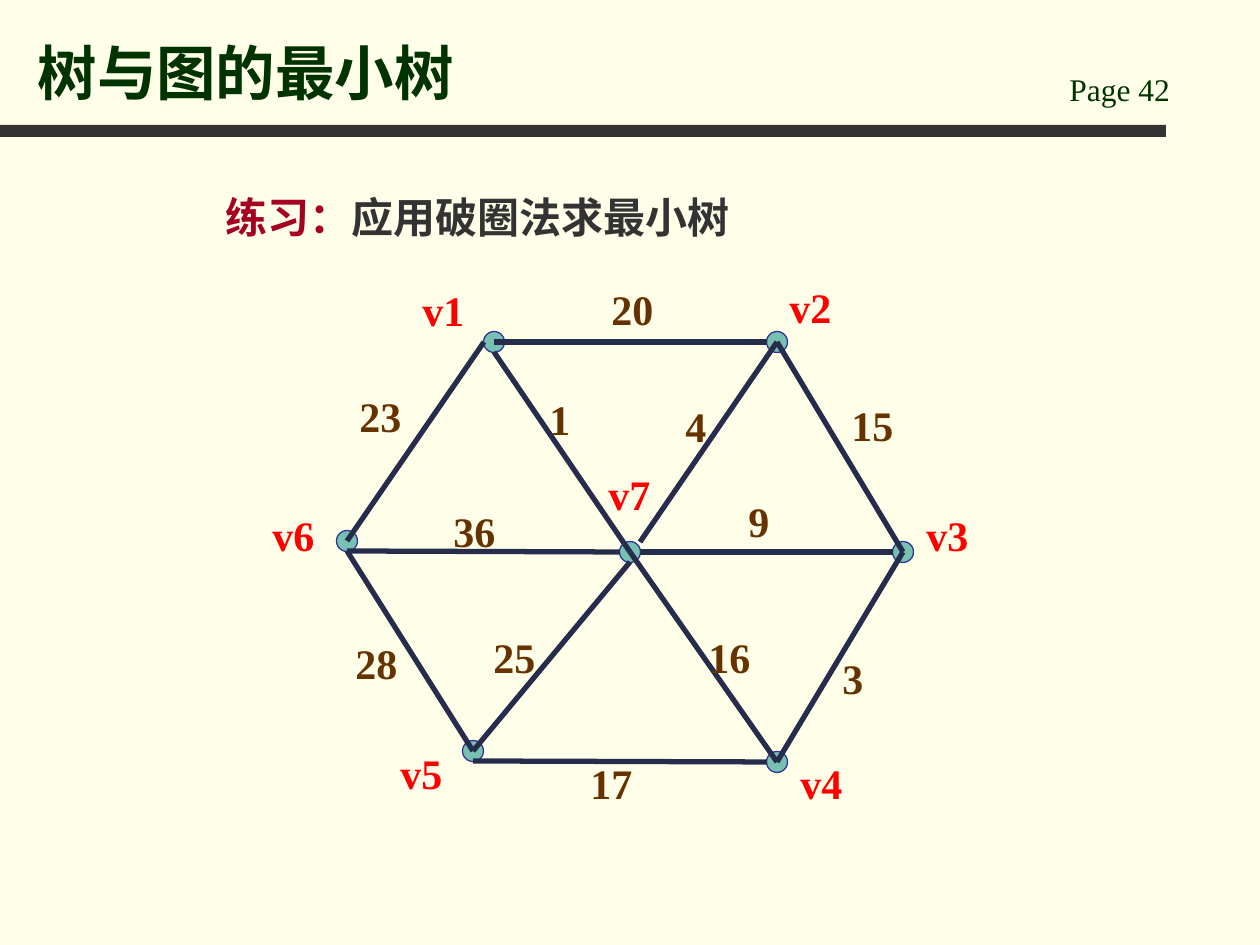
from dataclasses import dataclass

from pptx import Presentation
from pptx.dml.color import RGBColor
from pptx.enum.shapes import MSO_CONNECTOR, MSO_SHAPE
from pptx.enum.text import MSO_ANCHOR, PP_ALIGN
from pptx.oxml.ns import qn
from pptx.util import Emu, Pt
from lxml.etree import SubElement

EMU_PER_PX = 914400 / 126


@dataclass(frozen=True)
class Theme:
    font: str = "Times New Roman"
    background: str = "FFFFE9"
    heading: str = "003300"
    bar: str = "333333"
    body: str = "333333"
    emphasis: str = "A50021"
    vertex_fill: str = "78C0B2"
    vertex_line: str = "333399"
    edge: str = "262D4C"
    vertex_name: str = "FF0000"
    weight: str = "663300"
    title_size: int = 34
    body_size: int = 24
    page_size: int = 18
    edge_width: float = 3
    vertex_width: float = 0.75


THEME = Theme()
VERTEX_SIZE = 21
LABEL_SIZE = (73, 63)

# Vertex name: centre, then top left of its label
VERTICES = {
    "v1": ((494, 342), (410, 278)),
    "v2": ((777, 342), (777, 275)),
    "v3": ((903, 552), (914, 503)),
    "v4": ((777, 762), (788, 751)),
    "v5": ((473, 751), (388, 741)),
    "v6": ((347, 541), (260, 503)),
    "v7": ((630, 552), (596, 462)),
}

# Shift from a vertex centre to the point where an edge meets it
CENTRE, LEFT, RIGHT, TOP_RIGHT, BOTTOM = (0, 0), (-10, 0), (10, 0), (10, -10), (0, 10)

# Start, its shift, end, its shift, weight, top left of the weight
EDGES = [
    ("v1", CENTRE, "v2", LEFT, 20, (599, 277)),
    ("v1", LEFT, "v6", CENTRE, 23, (347, 384)),
    ("v2", CENTRE, "v3", CENTRE, 15, (839, 393)),
    ("v1", BOTTOM, "v7", CENTRE, 1, (537, 387)),
    ("v2", CENTRE, "v7", TOP_RIGHT, 4, (673, 394)),
    ("v6", BOTTOM, "v7", LEFT, 36, (441, 499)),
    ("v7", RIGHT, "v3", LEFT, 9, (736, 489)),
    ("v6", BOTTOM, "v5", CENTRE, 28, (343, 631)),
    ("v7", BOTTOM, "v5", CENTRE, 25, (481, 625)),
    ("v7", CENTRE, "v4", CENTRE, 16, (696, 625)),
    ("v5", BOTTOM, "v4", LEFT, 17, (578, 751)),
    ("v3", CENTRE, "v4", CENTRE, 3, (830, 646)),
]


def px(*lengths):
    return [Emu(round(length * EMU_PER_PX)) for length in lengths]


def rgb(colour):
    return RGBColor.from_string(colour)


def style_font(font, size, colour, bold=True):
    font.name = THEME.font
    font.size = Pt(size)
    font.bold = bold
    font.color.rgb = rgb(colour)


def add_title(slide, text, box):
    title = slide.shapes.title
    title.left, title.top, title.width, title.height = px(*box)
    title.text_frame.text = text
    title.text_frame.vertical_anchor = MSO_ANCHOR.BOTTOM
    paragraph = title.text_frame.paragraphs[0]
    paragraph.alignment = PP_ALIGN.LEFT
    style_font(paragraph.font, THEME.title_size, THEME.heading)


def add_text(slide, text, box, size, colour, bold=True):
    """Add a one-line text box and return its paragraph."""
    frame = slide.shapes.add_textbox(*px(*box)).text_frame
    frame.word_wrap = True
    paragraph = frame.paragraphs[0]
    paragraph.text = text
    style_font(paragraph.font, size, colour, bold)
    return paragraph


def add_filled(slide, preset, box, colour):
    shape = slide.shapes.add_shape(preset, *px(*box))
    shape.shadow.inherit = False
    shape.fill.solid()
    shape.fill.fore_color.rgb = rgb(colour)
    shape.line.fill.background()
    return shape


def add_vertex(slide, centre):
    left, top = (value - VERTEX_SIZE / 2 for value in centre)
    vertex = add_filled(slide, MSO_SHAPE.OVAL, (left, top, VERTEX_SIZE, VERTEX_SIZE),
                        THEME.vertex_fill)
    vertex.line.color.rgb = rgb(THEME.vertex_line)
    vertex.line.width = Pt(THEME.vertex_width)


def edge_end(name, shift):
    (x, y), _ = VERTICES[name]
    return x + shift[0], y + shift[1]


def add_edge(slide, start, end):
    edge = slide.shapes.add_connector(MSO_CONNECTOR.STRAIGHT, *px(*start, *end))
    edge.line.color.rgb = rgb(THEME.edge)
    edge.line.width = Pt(THEME.edge_width)
    SubElement(edge._element.spPr, qn("a:effectLst"))


def add_label(slide, text, corner, colour):
    add_text(slide, text, (*corner, *LABEL_SIZE), THEME.body_size, colour)


def add_graph(slide):
    for centre, _ in VERTICES.values():
        add_vertex(slide, centre)
    for start, start_shift, end, end_shift, _, _ in EDGES:
        add_edge(slide, edge_end(start, start_shift), edge_end(end, end_shift))
    for name, (_, corner) in VERTICES.items():
        add_label(slide, name, corner, THEME.vertex_name)
    for *_, weight, corner in EDGES:
        add_label(slide, str(weight), corner, THEME.weight)


def add_exercise(slide):
    paragraph = add_text(slide, "练习：", (213, 175, 973, 73),
                         THEME.body_size, THEME.emphasis)
    paragraph.line_spacing = 1.2
    task = paragraph.add_run()
    task.text = "应用破圈法求最小树"
    task.font.color.rgb = rgb(THEME.body)


def main():
    presentation = Presentation()
    presentation.slide_width, presentation.slide_height = px(1260, 945)
    slide = presentation.slides.add_slide(presentation.slide_layouts[5])
    slide.background.fill.solid()
    slide.background.fill.fore_color.rgb = rgb(THEME.background)

    add_filled(slide, MSO_SHAPE.RECTANGLE, (0, 125, 1166, 12), THEME.bar)
    add_text(slide, "Page 42", (1057, 64, 179, 50), THEME.page_size, THEME.heading, bold=False)
    add_title(slide, "树与图的最小树", (25, 16, 1012, 98))
    add_graph(slide)
    add_exercise(slide)
    presentation.save("out.pptx")


if __name__ == "__main__":
    main()
